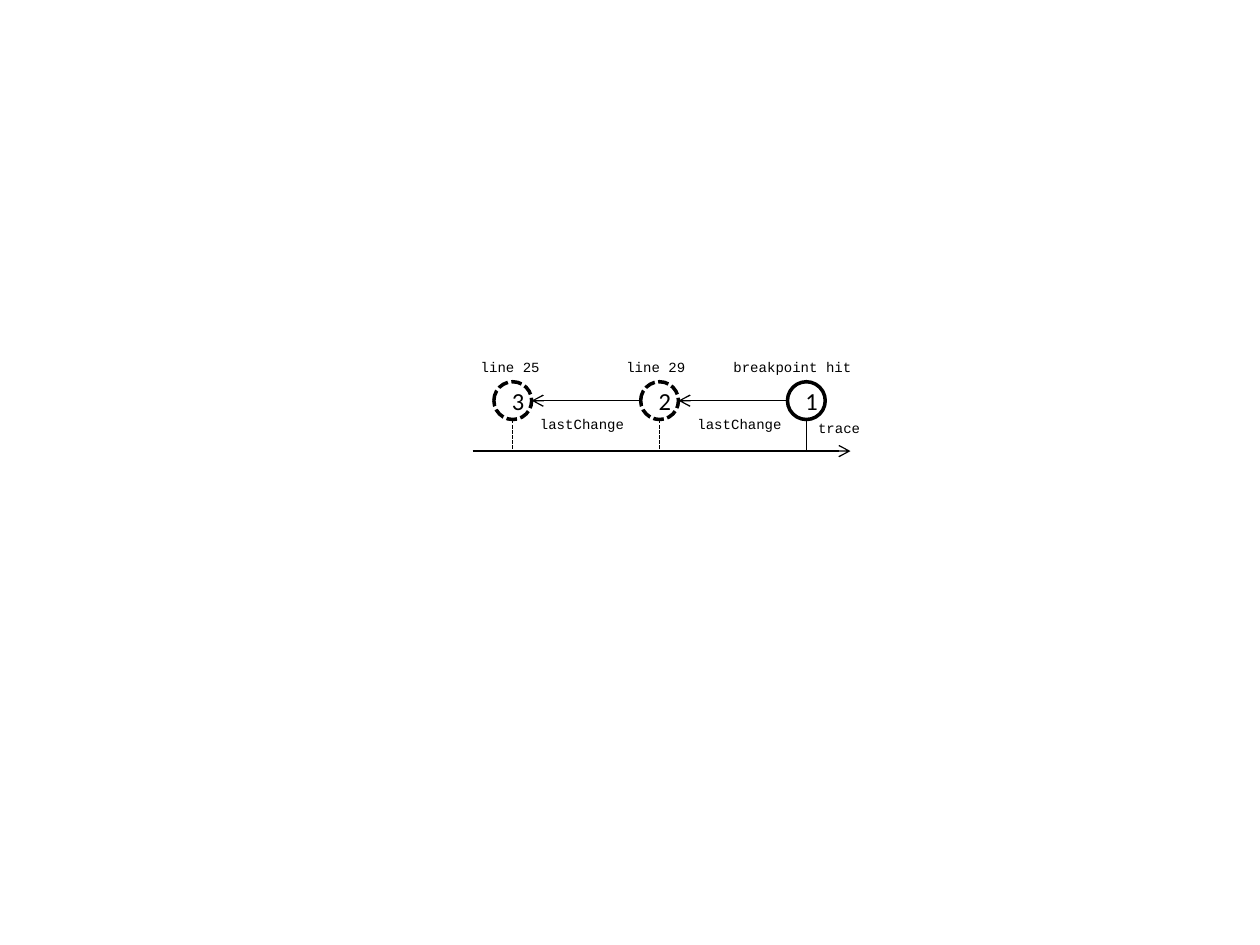
from dataclasses import dataclass

from lxml import etree
from pptx import Presentation
from pptx.dml.color import RGBColor
from pptx.enum.dml import MSO_LINE
from pptx.enum.shapes import MSO_CONNECTOR, MSO_SHAPE
from pptx.enum.text import MSO_ANCHOR, MSO_AUTO_SIZE, PP_ALIGN
from pptx.oxml.ns import qn
from pptx.util import Inches, Pt

STRAIGHT = MSO_CONNECTOR.STRAIGHT
OVAL = MSO_SHAPE.OVAL
DASH = MSO_LINE.SQUARE_DOT
CENTER = PP_ALIGN.CENTER
MIDDLE = MSO_ANCHOR.MIDDLE
FIT_SHAPE = MSO_AUTO_SIZE.SHAPE_TO_FIT_TEXT


@dataclass(frozen=True)
class Theme:
    ink: RGBColor = RGBColor(0x00, 0x00, 0x00)
    paper: RGBColor = RGBColor(0xFF, 0xFF, 0xFF)
    number_font: str = "Calibri"
    code_font: str = "Courier New"
    number_size: int = 14
    code_size: int = 8
    thin: float = 0.75
    thick: float = 2


THEME = Theme()


def write_text(shape, text, font_name, size):
    shape.text_frame.text = text
    paragraph = shape.text_frame.paragraphs[0]
    paragraph.alignment = CENTER
    font = paragraph.runs[0].font
    font.name = font_name
    font.size = Pt(size)
    font.color.rgb = THEME.ink


def style_line(line, width, dashed):
    line.color.rgb = THEME.ink
    line.width = Pt(width)
    if dashed:
        line.dash_style = DASH


def add_line(slide, start, end, dashed=False, arrow=False):
    points = [Inches(value) for value in (*start, *end)]
    connector = slide.shapes.add_connector(STRAIGHT, *points)
    style_line(connector.line, THEME.thin, dashed)
    if arrow:
        line_xml = connector.line._get_or_add_ln()
        etree.SubElement(line_xml, qn("a:tailEnd"), type="arrow")
    etree.SubElement(connector._element.spPr, qn("a:effectLst"))


def add_label(slide, text, center, top, width, height=0.24):
    label = slide.shapes.add_textbox(
        Inches(center - width / 2), Inches(top), Inches(width), Inches(height))
    label.text_frame.word_wrap = True
    label.text_frame.auto_size = FIT_SHAPE
    write_text(label, text, THEME.code_font, THEME.code_size)


def add_node(slide, number, center, top, diameter, dashed):
    node = slide.shapes.add_shape(
        OVAL, Inches(center - diameter / 2), Inches(top),
        Inches(diameter), Inches(diameter))
    node.shadow.inherit = False
    node.fill.solid()
    node.fill.fore_color.rgb = THEME.paper
    style_line(node.line, THEME.thick, dashed)
    node.text_frame.vertical_anchor = MIDDLE
    write_text(node, number, THEME.number_font, THEME.number_size)


def add_trace_diagram(slide, left, top, width):
    diameter, radius = 0.3, 0.15
    node_top = top + 0.23
    node_middle = node_top + radius
    axis = top + 0.78
    first, last = left + 0.47, left + width - 0.6
    step = (last - first) / 2

    # Trace axis
    add_line(slide, (left + 0.15, axis), (left + width - 0.25, axis), arrow=True)
    add_label(slide, "trace", last + 0.26, top + 0.48, 0.69)

    # Steps: number, caption, caption offset, caption width, dashed
    steps = [
        ("3", "line 25", -0.02, 0.9, True),
        ("2", "line 29", -0.03, 0.9, True),
        ("1", "breakpoint hit", -0.11, 1.42, False),
    ]
    for index, (number, caption, offset, caption_width, dashed) in enumerate(steps):
        center = first + index * step
        add_line(slide, (center, node_top + diameter), (center, axis), dashed)
        add_node(slide, number, center, node_top, diameter, dashed)
        add_label(slide, caption, center + offset, top, caption_width)

    # Jumps back to the previous change
    for index, label_center in enumerate((left + 1.02, left + 2.27)):
        target = first + index * step
        add_line(slide, (target + step - radius, node_middle),
                 (target + radius, node_middle), arrow=True)
        add_label(slide, "lastChange", label_center, top + 0.45, 1.08)


presentation = Presentation()
presentation.slide_width = Inches(10)
presentation.slide_height = Inches(7.5)
slide = presentation.slides.add_slide(presentation.slide_layouts[6])
add_trace_diagram(slide, left=3.6, top=2.8, width=3.4)
presentation.save("out.pptx")
